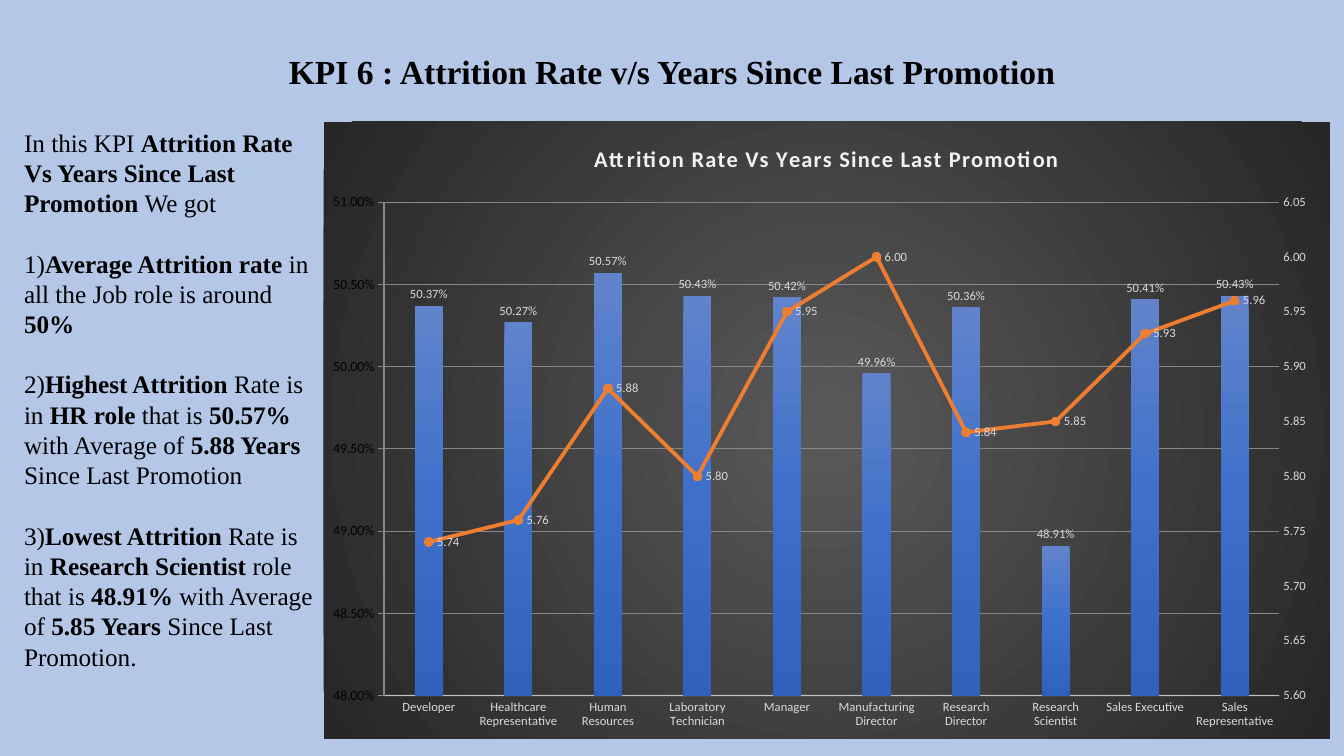
from dataclasses import dataclass

from lxml import etree
from pptx import Presentation
from pptx.chart.axis import ValueAxis
from pptx.chart.data import CategoryChartData
from pptx.dml.color import RGBColor
from pptx.enum.chart import XL_CHART_TYPE, XL_LABEL_POSITION, XL_MARKER_STYLE, XL_TICK_MARK
from pptx.enum.text import MSO_ANCHOR, PP_ALIGN
from pptx.oxml import parse_xml
from pptx.oxml.ns import nsdecls, qn
from pptx.util import Inches, Pt

CLUSTERED = XL_CHART_TYPE.COLUMN_CLUSTERED
OUTSIDE_END, RIGHT = XL_LABEL_POSITION.OUTSIDE_END, XL_LABEL_POSITION.RIGHT
NO_TICK = XL_TICK_MARK.NONE
CIRCLE = XL_MARKER_STYLE.CIRCLE
MIDDLE, CENTER = MSO_ANCHOR.MIDDLE, PP_ALIGN.CENTER

BACKGROUND = RGBColor(0xB4, 0xC7, 0xE7)
BLACK = RGBColor(0, 0, 0)
OFF_WHITE = RGBColor(0xF2, 0xF2, 0xF2)
LABEL_GREY = RGBColor(0xD9, 0xD9, 0xD9)
ORANGE = RGBColor(0xED, 0x7D, 0x31)
MARKER_ORANGE = RGBColor(0xF6, 0x7B, 0x28)
GLOW_CENTRE, GLOW_EDGE = RGBColor(0x59, 0x59, 0x59), RGBColor(0x26, 0x26, 0x26)
BAR_TOP, BAR_MIDDLE, BAR_BOTTOM = (
    RGBColor(0x61, 0x83, 0xCB), RGBColor(0x3E, 0x70, 0xCA), RGBColor(0x30, 0x62, 0xBB))

SERIF, SANS = "Times New Roman", "Calibri"
LINEAR = '<a:lin ang="5400000" scaled="0"/>'
RADIAL = ('<a:path path="circle"><a:fillToRect l="50000" t="50000" '
          'r="50000" b="50000"/></a:path>')


@dataclass
class Role:
    name: str
    attrition: float
    years: float


ROLES = [
    Role("Developer", 0.5037, 5.74),
    Role("Healthcare Representative", 0.5027, 5.76),
    Role("Human Resources", 0.5057, 5.88),
    Role("Laboratory Technician", 0.5043, 5.80),
    Role("Manager", 0.5042, 5.95),
    Role("Manufacturing Director", 0.4996, 6.00),
    Role("Research Director", 0.5036, 5.84),
    Role("Research Scientist", 0.4891, 5.85),
    Role("Sales Executive", 0.5041, 5.93),
    Role("Sales Representative", 0.5043, 5.96),
]

# Runs alternate between regular and bold, starting with regular.
FINDINGS = [
    ["In this KPI ", "Attrition Rate Vs Years Since Last Promotion ", "We got"],
    ["1)", "Average Attrition rate ", "in all the Job role is around ", "50%"],
    ["2)", "Highest Attrition ", "Rate is in ", "HR role ", "that is ", "50.57% ",
     "with Average of ", "5.88 Years ", "Since Last Promotion"],
    ["3)", "Lowest Attrition", " Rate is in ", "Research Scientist ", "role that is ",
     "48.91%", " with Average of ", "5.85 Years ", "Since Last Promotion."],
]


def set_font(font, name: str, size: float, color: RGBColor, bold: bool = False) -> None:
    font.name, font.size, font.bold = name, Pt(size), bold
    font.color.rgb = color


def add_textbox(s, left: float, top: float, width: float, height: float):
    tf = s.shapes.add_textbox(*map(Inches, (left, top, width, height))).text_frame
    tf.word_wrap = True
    return tf


def set_gradient(sp_pr, colors: list[RGBColor], direction: str) -> None:
    """Fill with evenly spaced gradient stops."""
    step = 100000 // (len(colors) - 1)
    stops = "".join(f'<a:gs pos="{i * step}"><a:srgbClr val="{color}"/></a:gs>'
                    for i, color in enumerate(colors))
    sp_pr.insert(0, parse_xml(
        f'<a:gradFill {nsdecls("a")} rotWithShape="1"><a:gsLst>{stops}</a:gsLst>'
        f'{direction}</a:gradFill>'))


def set_line(line, color: RGBColor, width: float, opacity: int) -> None:
    line.color.rgb, line.width = color, Pt(width)
    rgb = line._ln.find(".//" + qn("a:srgbClr"))
    etree.SubElement(rgb, qn("a:alpha"), val=str(opacity * 1000))


def style_value_axis(axis, low: float, high: float, step: float, number_format: str) -> None:
    axis.minimum_scale, axis.maximum_scale, axis.major_unit = low, high, step
    axis.tick_labels.number_format = number_format
    axis.tick_labels.number_format_is_linked = False
    axis.format.line.fill.background()


def add_labels(series, position, number_format: str) -> None:
    labels = series.data_labels
    labels.show_value, labels.position = True, position
    labels.number_format, labels.number_format_is_linked = number_format, False
    set_font(labels.font, SANS, 9, LABEL_GREY)


def remove_children(parent, tag: str) -> None:
    for child in parent.findall(qn(tag)):
        parent.remove(child)


def move_to_line_plot(chart) -> ValueAxis:
    """Turn the second bar series into a line on its own right-hand axis."""
    plot_area = chart._chartSpace.chart.plotArea
    bar = plot_area.find(qn("c:barChart"))
    ser = bar.findall(qn("c:ser"))[1]
    remove_children(ser, "c:invertIfNegative")
    line = parse_xml(
        f'<c:lineChart {nsdecls("c")}><c:grouping val="standard"/><c:varyColors val="0"/>'
        '<c:marker val="1"/><c:axId val="501"/><c:axId val="502"/></c:lineChart>')
    line.insert(2, ser)
    bar.addnext(line)
    scaling = '<c:scaling><c:orientation val="minMax"/></c:scaling>'
    cat_ax = parse_xml(
        f'<c:catAx {nsdecls("c")}><c:axId val="501"/>{scaling}<c:delete val="1"/>'
        '<c:axPos val="b"/><c:crossAx val="502"/></c:catAx>')
    val_ax = parse_xml(
        f'<c:valAx {nsdecls("c")}><c:axId val="502"/>{scaling}<c:delete val="0"/>'
        '<c:axPos val="r"/><c:tickLblPos val="nextTo"/><c:crossAx val="501"/>'
        '<c:crosses val="max"/><c:crossBetween val="between"/></c:valAx>')
    plot_area.findall(qn("c:valAx"))[-1].addnext(cat_ax)
    cat_ax.addnext(val_ax)
    return ValueAxis(val_ax)


def set_plot_layout(chart, x: float, y: float, w: float, h: float) -> None:
    plot_area = chart._chartSpace.chart.plotArea
    remove_children(plot_area, "c:layout")
    plot_area.insert(0, parse_xml(
        f'<c:layout {nsdecls("c")}><c:manualLayout><c:layoutTarget val="inner"/>'
        '<c:xMode val="edge"/><c:yMode val="edge"/>'
        f'<c:x val="{x}"/><c:y val="{y}"/><c:w val="{w}"/><c:h val="{h}"/>'
        '</c:manualLayout></c:layout>'))


def add_attrition_chart(s) -> None:
    data = CategoryChartData()
    data.categories = [role.name for role in ROLES]
    data.add_series("Series 1", [role.attrition for role in ROLES], "0.00%")
    data.add_series("Series 2", [role.years for role in ROLES], "0.00")
    chart = s.shapes.add_chart(CLUSTERED, Inches(3.21), Inches(1.21),
                               Inches(9.98), Inches(6.12), data).chart
    set_font(chart.font, SANS, 10, BLACK)
    area = parse_xml(f'<c:spPr {nsdecls("c", "a")}><a:ln><a:noFill/></a:ln></c:spPr>')
    set_gradient(area, [GLOW_CENTRE, GLOW_EDGE], RADIAL)
    chart._chartSpace.chart.addnext(area)

    chart.has_legend = False
    p = chart.chart_title.text_frame.paragraphs[0]
    p.text = "Attrition Rate Vs Years Since Last Promotion"
    set_font(p.runs[0].font, SANS, 16, OFF_WHITE, True)
    p.runs[0].font._element.set("spc", "100")
    chart.chart_title.include_in_layout = False

    years_axis = move_to_line_plot(chart)
    style_value_axis(chart.value_axis, 0.48, 0.51, 0.005, "0.00%")
    style_value_axis(years_axis, 5.6, 6.05, 0.05, "0.00")
    for axis in (chart.category_axis, chart.value_axis, years_axis):
        axis.major_tick_mark = axis.minor_tick_mark = NO_TICK
        set_font(axis.tick_labels.font, SANS, 9, LABEL_GREY)
    set_line(chart.category_axis.format.line, OFF_WHITE, 1, 54)
    set_line(chart.value_axis.major_gridlines.format.line, OFF_WHITE, 0.75, 10)
    set_plot_layout(chart, 0.06, 0.13, 0.89, 0.8)

    bar_plot, line_plot = chart.plots
    bar_plot.gap_width, bar_plot.overlap = 219, -27
    bar_plot.vary_by_categories = False
    bars, years = bar_plot.series[0], line_plot.series[0]
    set_gradient(bars._element.get_or_add_spPr(), [BAR_TOP, BAR_MIDDLE, BAR_BOTTOM], LINEAR)
    add_labels(bars, OUTSIDE_END, "0.00%")

    years.smooth = False
    years.format.line.color.rgb, years.format.line.width = ORANGE, Pt(2.75)
    years.marker.style, years.marker.size = CIRCLE, 6
    years.marker.format.fill.solid()
    years.marker.format.fill.fore_color.rgb = MARKER_ORANGE
    years.marker.format.line.color.rgb = MARKER_ORANGE
    add_labels(years, RIGHT, "0.00")


def add_title(s) -> None:
    tf = add_textbox(s, 0.14, 0.16, 13.05, 1.14)
    tf.vertical_anchor = MIDDLE
    p = tf.paragraphs[0]
    p.text = "KPI 6 : Attrition Rate v/s Years Since Last Promotion"
    p.alignment, p.line_spacing = CENTER, 0.9
    set_font(p.runs[0].font, SERIF, 24, BLACK, True)


def add_findings(s) -> None:
    tf = add_textbox(s, 0.14, 1.21, 3.07, 5.53)
    for i, texts in enumerate(FINDINGS):
        p = tf.paragraphs[0] if i == 0 else tf.add_paragraph()
        p.space_before = Pt(21.6 if i else 0)
        for j, text in enumerate(texts):
            r = p.add_run()
            r.text = text
            set_font(r.font, SERIF, 18, BLACK, j % 2 == 1)


def main() -> None:
    prs = Presentation()
    prs.slide_width, prs.slide_height = Inches(13.33), Inches(7.5)
    s = prs.slides.add_slide(prs.slide_layouts[6])
    s.background.fill.solid()
    s.background.fill.fore_color.rgb = BACKGROUND
    add_title(s)
    add_attrition_chart(s)
    add_findings(s)
    prs.save("out.pptx")


if __name__ == "__main__":
    main()
